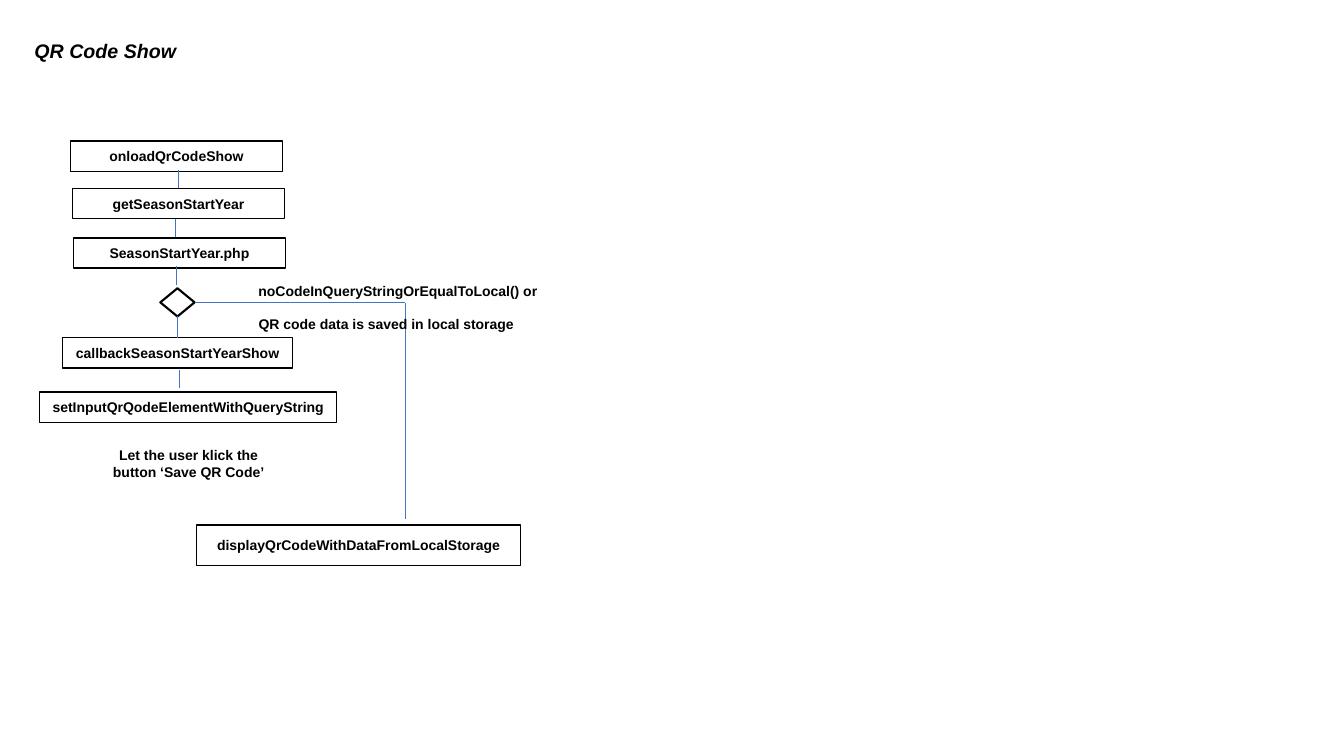
from dataclasses import dataclass
from typing import Optional

import lxml.etree
import pptx
import pptx.dml.color
import pptx.enum.shapes
import pptx.enum.text
import pptx.oxml.ns
import pptx.util

Inches = pptx.util.Inches
Pt = pptx.util.Pt
MSO_SHAPE = pptx.enum.shapes.MSO_SHAPE

BLACK = "000000"
LINK_BLUE = "4472C4"
TOP, BOTTOM, RIGHT = 0, 2, 3


@dataclass(frozen=True)
class Node:
    label: str
    left: float
    top: float
    width: float
    height: float = 0.3
    preset: int = MSO_SHAPE.RECTANGLE
    outline: float = 1


@dataclass(frozen=True)
class Note:
    text: str
    left: float
    top: float
    width: float
    height: float


@dataclass(frozen=True)
class Joint:
    node: str
    site: int


@dataclass(frozen=True)
class Link:
    start: tuple[float, float]
    end: tuple[float, float]
    start_joint: Optional[Joint] = None
    end_joint: Optional[Joint] = None


DECISION = ""
NODES = [
    Node("onloadQrCodeShow", 0.7, 1.4, 2.1),
    Node("getSeasonStartYear", 0.72, 1.87, 2.1),
    Node("SeasonStartYear.php", 0.73, 2.36, 2.1),
    Node(DECISION, 1.59, 2.86, 0.34, 0.28, MSO_SHAPE.DIAMOND, 1.5),
    Node("callbackSeasonStartYearShow", 0.62, 3.35, 2.28),
    Node("setInputQrQodeElementWithQueryString", 0.39, 3.89, 2.95),
    Node("displayQrCodeWithDataFromLocalStorage", 1.95, 5.21, 3.21, 0.4),
]
LINKS = [
    Link((1.77, 1.87), (1.77, 1.69), Joint("getSeasonStartYear", TOP)),
    Link((1.74, 2.35), (1.74, 2.17)),
    Link((1.75, 2.83), (1.75, 2.64)),
    Link((1.76, 3.35), (1.76, 3.14),
         Joint("callbackSeasonStartYearShow", TOP), Joint(DECISION, BOTTOM)),
    Link((1.78, 3.85), (1.78, 3.67)),
    Link((1.93, 3), (4.02, 3), Joint(DECISION, RIGHT)),
    Link((4.02, 5.15), (4.02, 3.01)),
]
NOTES = [
    Note("Let the user klick the button ‘Save QR Code’", 0.99, 4.38, 1.76, 0.44),
    Note("QR code data is saved in local storage", 2.33, 3.08, 3, 0.27),
    Note("noCodeInQueryStringOrEqualToLocal() or", 2.26, 2.75, 3.37, 0.27),
]


def rgb(value: str) -> pptx.dml.color.RGBColor:
    return pptx.dml.color.RGBColor.from_string(value)


def write(frame, text: str, size: float = 10, italic: bool = False,
          anchor=pptx.enum.text.MSO_ANCHOR.MIDDLE, wrap: bool = True) -> None:
    """Fill a text frame with one centred bold paragraph."""
    frame.text = text
    frame.word_wrap = wrap
    frame.vertical_anchor = anchor
    frame.auto_size = pptx.enum.text.MSO_AUTO_SIZE.NONE
    paragraph = frame.paragraphs[0]
    paragraph.alignment = pptx.enum.text.PP_ALIGN.CENTER
    for run in paragraph.runs:
        run.font.name = "Arial"
        run.font.size = Pt(size)
        run.font.bold = True
        run.font.italic = italic
        run.font.color.rgb = rgb(BLACK)


def draw_title(slide, text: str) -> None:
    title = slide.shapes.title
    title.left, title.top = Inches(0.14), Inches(0.36)
    title.width, title.height = Inches(1.81), Inches(0.29)
    write(title.text_frame, text, size=14, italic=True)


def draw_node(slide, node: Node):
    shape = slide.shapes.add_shape(
        node.preset, Inches(node.left), Inches(node.top),
        Inches(node.width), Inches(node.height))
    shape.shadow.inherit = False
    shape.fill.background()
    shape.line.color.rgb = rgb(BLACK)
    shape.line.width = Pt(node.outline)
    if node.label:
        write(shape.text_frame, node.label, wrap=False)
    return shape


def draw_link(slide, link: Link, drawn: dict) -> None:
    connector = slide.shapes.add_connector(
        pptx.enum.shapes.MSO_CONNECTOR.STRAIGHT,
        *map(Inches, link.start + link.end))
    connector.line.color.rgb = rgb(LINK_BLUE)
    connector.line.width = Pt(0.5)
    lxml.etree.SubElement(connector._element.spPr,
                          pptx.oxml.ns.qn("a:effectLst"))
    if link.start_joint:
        connector.begin_connect(drawn[link.start_joint.node], link.start_joint.site)
    if link.end_joint:
        connector.end_connect(drawn[link.end_joint.node], link.end_joint.site)


def draw_note(slide, note: Note) -> None:
    box = slide.shapes.add_textbox(
        Inches(note.left), Inches(note.top),
        Inches(note.width), Inches(note.height))
    write(box.text_frame, note.text, anchor=pptx.enum.text.MSO_ANCHOR.TOP)


def main() -> None:
    deck = pptx.Presentation()
    deck.slide_width, deck.slide_height = Inches(13.33), Inches(7.5)
    slide = deck.slides.add_slide(deck.slide_layouts.get_by_name("Title Only"))
    draw_title(slide, "QR Code Show")
    drawn = {node.label: draw_node(slide, node) for node in NODES}
    for link in LINKS:
        draw_link(slide, link, drawn)
    for note in NOTES:
        draw_note(slide, note)
    deck.save("out.pptx")


if __name__ == "__main__":
    main()
